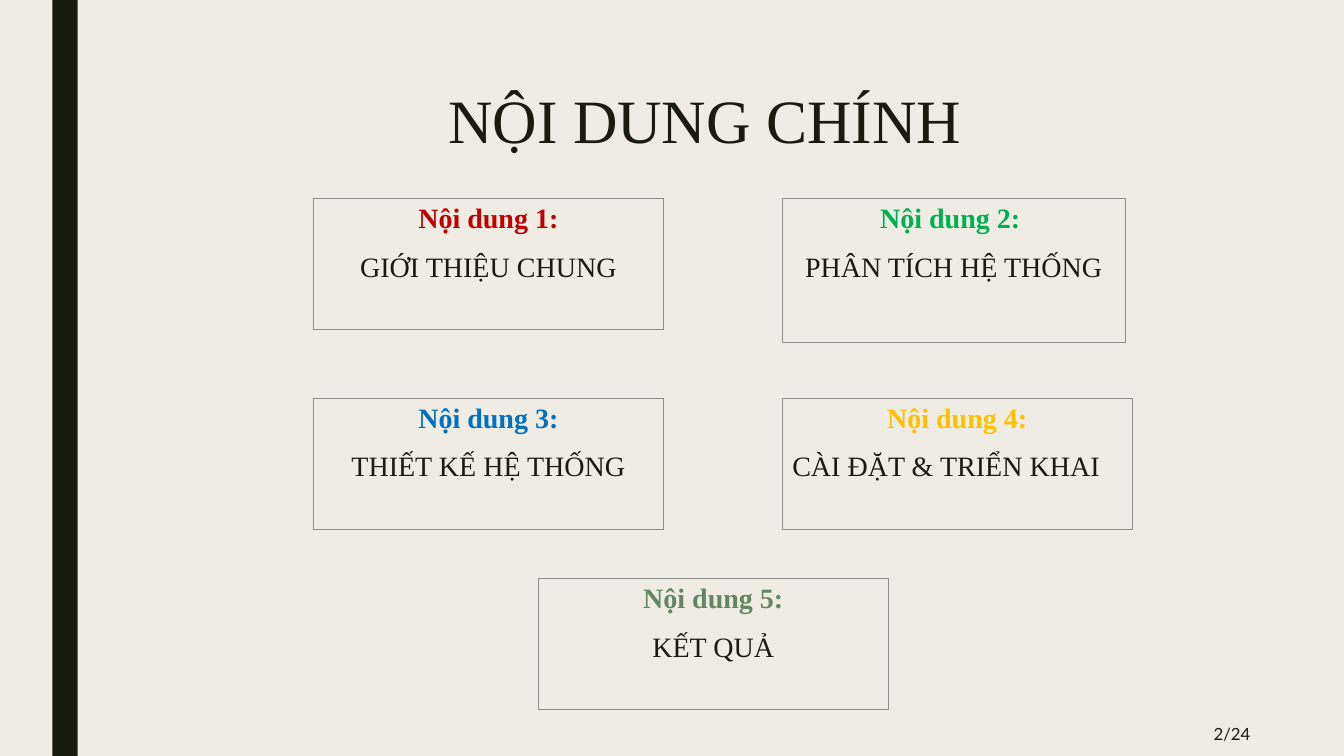
"""Build the contents slide: a title over five outlined topic boxes."""
from pptx import Presentation, util as u
from pptx.dml.color import RGBColor
from pptx.enum import shapes, text

theme = {
    "back": "EFEDE3", "ink": "191B0E", "edge": "8C8D86",
    "serif": "Times New Roman", "sans": "Lato",
    "title": 44, "body": 20, "foot": 12,
}
wide, high = 13.33, 7.5
left, right, mid = 3.11, 7.76, 5.34
rows = 1.97, 3.95, 5.74
topics = [
    (left, rows[0], 3.47, 1.3, "Nội dung 1:", "GIỚI THIỆU CHUNG", "C00000"),
    (right, rows[0], 3.4, 1.43, "Nội dung 2: ", "PHÂN TÍCH HỆ THỐNG", "00B050"),
    (left, rows[1], 3.47, 1.3, "Nội dung 3:", "THIẾT KẾ HỆ THỐNG", "0070C0"),
    (right, rows[1], 3.47, 1.3, "Nội dung 4:", "CÀI ĐẶT & TRIỂN KHAI\t", "FFC000"),
    (mid, rows[2], 3.47, 1.3, "Nội dung 5:", "KẾT QUẢ", "638764"),
]


def block(x, y, w, h):
    """Add a plain rectangle without fill, line or shadow."""
    box = slide.shapes.add_shape(
        shapes.MSO_SHAPE.RECTANGLE, *map(u.Inches, (x, y, w, h)))
    box.shadow.inherit = False
    box.fill.background()
    box.line.fill.background()
    return box


def write(para, words, size, face, color, align, bold=False):
    """Add one styled run to an aligned paragraph."""
    para.alignment = align
    run = para.add_run()
    run.text = words
    font = run.font
    font.size, font.name, font.bold = u.Pt(size), face, bold
    font.color.rgb = RGBColor.from_string(color)


deck = Presentation()
deck.slide_width, deck.slide_height = u.Inches(wide), u.Inches(high)
slide = deck.slides.add_slide(deck.slide_layouts[6])
slide.background.fill.solid()
slide.background.fill.fore_color.rgb = RGBColor.from_string(theme["back"])

bar = block(0.52, 0, 0.25, high)
bar.fill.solid()
bar.fill.fore_color.rgb = RGBColor.from_string(theme["ink"])

center, end = text.PP_ALIGN.CENTER, text.PP_ALIGN.RIGHT
labels = [
    (1.82, 0.81, 10.5, 0.83, "NỘI DUNG CHÍNH ", "title", "serif", center, 0.89),
    (10.75, 7.06, 1.75, 0.44, "2/24", "foot", "sans", end, 1.0),
]
for x, y, w, h, words, size, face, align, space in labels:
    frame = slide.shapes.add_textbox(*map(u.Inches, (x, y, w, h))).text_frame
    frame.word_wrap = True
    frame.vertical_anchor = text.MSO_ANCHOR.MIDDLE
    para = frame.paragraphs[0]
    para.line_spacing = space
    write(para, words, theme[size], theme[face], theme["ink"], align)

for x, y, w, h, head, name, color in topics:
    box = block(x, y, w, h)
    box.line.color.rgb = RGBColor.from_string(theme["edge"])
    box.line.width = u.Pt(0.75)
    frame = box.text_frame
    frame.word_wrap = True
    frame.vertical_anchor = text.MSO_ANCHOR.TOP
    first, second = frame.paragraphs[0], frame.add_paragraph()
    second.space_before = u.Pt(10)
    for para, words, tint in (first, head, color), (second, name, theme["ink"]):
        para.line_spacing = 0.94
        para.space_after = u.Pt(2)
        write(para, words, theme["body"], theme["serif"], tint, center, para is first)

deck.save("out.pptx")
